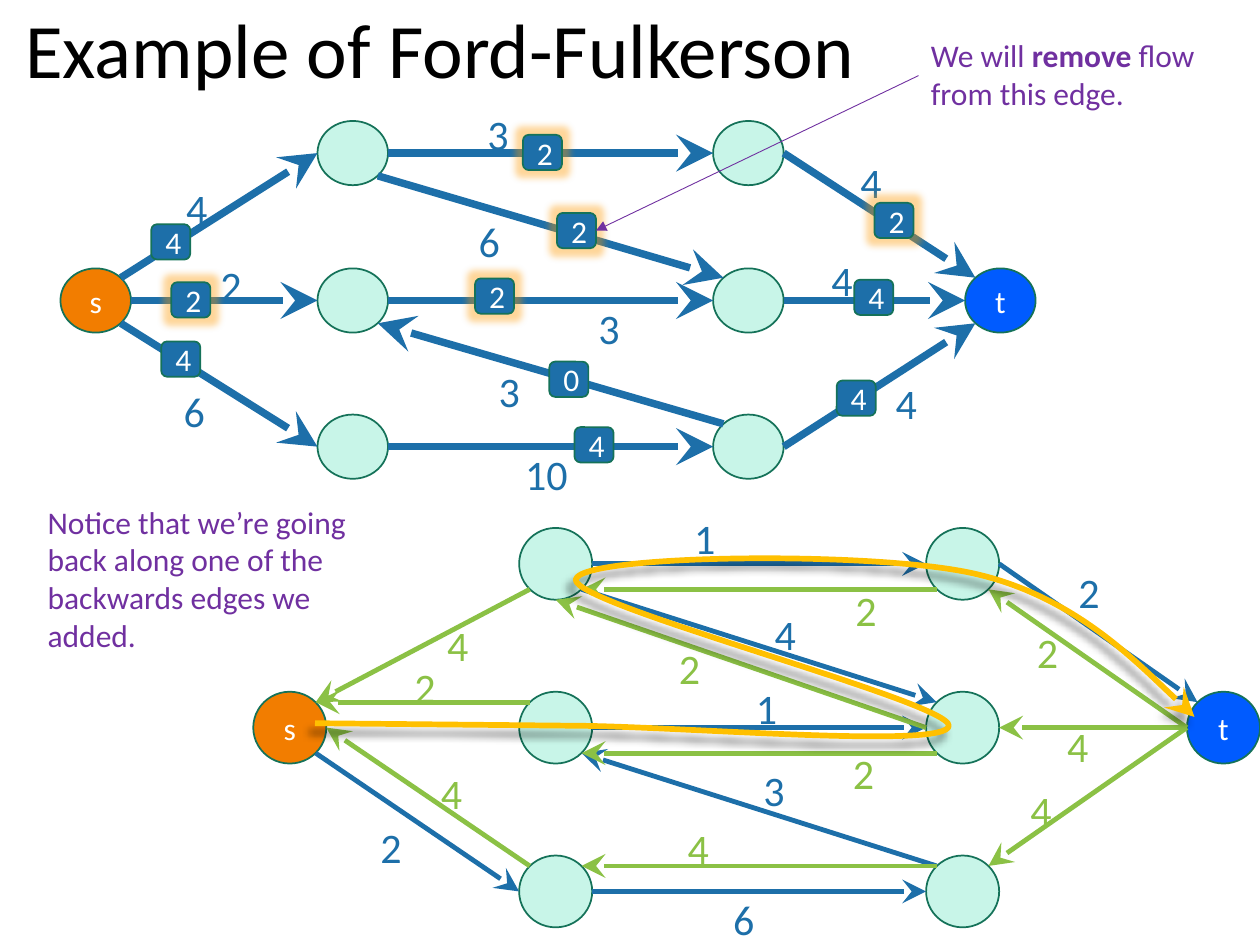
from lxml import etree
from pptx import Presentation
from pptx.dml.color import RGBColor
from pptx.enum import shapes, text
from pptx.oxml.ns import qn
from pptx.util import Inches, Pt

COLORS = {name: RGBColor.from_string(value) for name, value in {
    "black": "000000", "white": "FFFFFF", "blue": "1D6FA9", "green": "8BC145",
    "purple": "7030A0", "gold": "FFC000", "outline": "157259",
    "source": "F27D00", "sink": "005BFF", "node": "C8F5E8"}.items()}
FONT = "Calibri"


def add_arrow(container, start, end, color, width, head="stealth", size="lg"):
    points = [Inches(value) for value in (*start, *end)]
    connector = container.add_connector(shapes.MSO_CONNECTOR.STRAIGHT, *points)
    connector.line.color.rgb = COLORS[color]
    connector.line.width = Pt(width)
    properties = connector.element.spPr
    etree.SubElement(properties.find(qn("a:ln")), qn("a:tailEnd"), type=head, w=size, len=size)
    etree.SubElement(properties, qn("a:effectLst"))


def add_label(container, box, runs, size, color):
    label = container.add_textbox(*[Inches(value) for value in box])
    label.text_frame.word_wrap = True
    label.text_frame.auto_size = text.MSO_AUTO_SIZE.SHAPE_TO_FIT_TEXT
    paragraph = label.text_frame.paragraphs[0]
    paragraph.font.size = Pt(size)
    paragraph.font.name = FONT
    paragraph.font.color.rgb = COLORS[color]
    for words, bold in runs:
        run = paragraph.add_run()
        run.text = words
        if bold:
            run.font.bold = True


presentation = Presentation()
presentation.slide_width, presentation.slide_height = Inches(10), Inches(7.5)
slide = presentation.slides.add_slide(presentation.slide_layouts[5])

# Title
title = slide.shapes.title
title.left, title.top, title.width, title.height = [Inches(v) for v in (0.1, -0.3, 8.62, 1.45)]
title.text_frame.text = "Example of Ford-Fulkerson"
title.text_frame.vertical_anchor = text.MSO_ANCHOR.MIDDLE
paragraph = title.text_frame.paragraphs[0]
paragraph.alignment = text.PP_ALIGN.LEFT
paragraph.line_spacing = 0.9
paragraph.font.size = Pt(44)
paragraph.font.name = FONT
paragraph.font.color.rgb = COLORS["black"]

# Both graphs share a layout: node -> (column, row)
NODES = {"t": (3, 1), "s": (0, 1), "a": (1, 0), "b": (1, 1), "c": (1, 2),
         "d": (2, 0), "e": (2, 1), "f": (2, 2)}
NODE_FILLS = {"s": "source", "t": "sink"}
DIAGONAL = 0.71
SITES = {"L": (-1, 0), "R": (1, 0), "B": (0, 1),
         "TL": (-DIAGONAL, -DIAGONAL), "TR": (DIAGONAL, -DIAGONAL),
         "BL": (-DIAGONAL, DIAGONAL), "BR": (DIAGONAL, DIAGONAL)}
SHARED_EDGES = ["s.BR c.L", "f.TL b.BR", "a.BR e.TL", "a.R d.L", "b.R e.L", "c.R f.L", "d.R t.TL"]

flow_graph = {
    "columns": (0.48, 2.52, 5.66, 7.66), "rows": (0.96, 2.13, 3.29), "node": (0.56, 0.51),
    "edges": SHARED_EDGES + ["s.R b.L", "s.TR a.L", "e.R t.L", "f.R t.BL"],
    "line": 4.25, "label": (0.6, 0.41),
    "capacities": [("4", 1.38, 1.4), ("2", 1.65, 2.01), ("6", 1.36, 3.01), ("3", 3.77, 0.81),
                   ("6", 3.7, 1.66), ("3", 4.65, 2.35), ("3", 3.86, 2.85), ("10", 4.07, 3.51),
                   ("4", 7.01, 2.95), ("4", 6.5, 1.97), ("4", 6.73, 1.19)],
    # flow, left, top, highlighted
    "flows": [("4", 1.28, 2.71, False), ("2", 1.36, 2.24, True), ("4", 1.2, 1.78, False),
              ("2", 4.15, 1.07, True), ("2", 4.42, 1.69, True), ("2", 3.77, 2.21, True),
              ("0", 4.36, 2.87, False), ("4", 4.56, 3.39, False), ("4", 6.64, 3.02, False),
              ("4", 6.78, 2.22, False), ("2", 6.94, 1.61, True)]}
residual_graph = {
    "columns": (2.01, 4.12, 7.35, 9.42), "rows": (4.19, 5.49, 6.79), "node": (0.58, 0.57),
    "edges": SHARED_EDGES, "line": 2.75, "label": (0.62, 0.5),
    "capacities": [("2", 2.92, 6.47), ("1", 5.41, 4.02), ("4", 6.05, 4.78), ("1", 5.9, 5.37),
                   ("6", 5.72, 7.04), ("2", 8.46, 4.45), ("3", 5.96, 6.02)],
    "flows": []}

for graph in (flow_graph, residual_graph):
    group = slide.shapes.add_group_shape().shapes
    width, height = graph["node"]
    ports = {}
    boxes = []  # shape kind, text, fill, left, top, width, height, highlighted
    for name, (column, row) in NODES.items():
        left, top = graph["columns"][column], graph["rows"][row]
        boxes.append((shapes.MSO_SHAPE.OVAL, name if name in NODE_FILLS else "",
                      NODE_FILLS.get(name, "node"), left, top, width, height, False))
        for site, (across, down) in SITES.items():
            ports[f"{name}.{site}"] = (left + width / 2 * (1 + across), top + height / 2 * (1 + down))
    for flow, left, top, highlighted in graph["flows"]:
        boxes.append((shapes.MSO_SHAPE.ROUNDED_RECTANGLE, flow, "blue", left, top, 0.31, 0.28, highlighted))

    # Edges and capacities come after the nodes, flow badges on top
    for index, (kind, words, fill, left, top, box_width, box_height, highlighted) in enumerate(boxes):
        if index == len(NODES):
            for edge in graph["edges"]:
                start, end = edge.split()
                add_arrow(group, ports[start], ports[end], "blue", graph["line"])
            for capacity, label_left, label_top in graph["capacities"]:
                add_label(group, (label_left, label_top, *graph["label"]), [(capacity, False)], 24, "blue")
        shape = group.add_shape(kind, Inches(left), Inches(top), Inches(box_width), Inches(box_height))
        shape.shadow.inherit = False
        shape.fill.solid()
        shape.fill.fore_color.rgb = COLORS[fill]
        shape.line.color.rgb = COLORS["outline"]
        shape.line.width = Pt(1)
        if highlighted:
            effects = shape.element.spPr.find(qn("a:effectLst"))
            glow = etree.SubElement(effects, qn("a:glow"), rad=str(Pt(8)))
            tint = etree.SubElement(glow, qn("a:srgbClr"), val="FF9900")
            etree.SubElement(tint, qn("a:alpha"), val="40000")
        if words:
            shape.text_frame.text = words
            shape.text_frame.vertical_anchor = text.MSO_ANCHOR.MIDDLE
            paragraph = shape.text_frame.paragraphs[0]
            paragraph.alignment = text.PP_ALIGN.CENTER
            paragraph.font.size = Pt(18)
            paragraph.font.name = FONT
            paragraph.font.color.rgb = COLORS["white"]
    if not graph["flows"]:
        for edge in graph["edges"]:
            start, end = edge.split()
            add_arrow(group, ports[start], ports[end], "blue", graph["line"])
        for capacity, left, top in graph["capacities"]:
            add_label(group, (left, top, *graph["label"]), [(capacity, False)], 24, "blue")

# Backward edges of the residual graph
for edge in ("t.L f.TR", "t.L d.BR", "d.BL a.BR", "a.BL s.TR", "c.TL s.R", "f.TL c.TR",
             "e.BL b.BR", "e.L a.B", "b.TL s.TR", "t.L e.R"):
    start, end = edge.split()
    add_arrow(slide.shapes, ports[start], ports[end], "green", 2.75)
for capacity, left, top in (("2", 6.67, 5.88), ("4", 8.37, 5.67), ("2", 8.13, 4.92), ("4", 8.08, 6.18),
                            ("4", 5.36, 6.48), ("4", 3.4, 6.04), ("2", 5.29, 5.05), ("2", 6.69, 4.59),
                            ("4", 3.45, 4.87), ("2", 3.19, 5.2)):
    add_label(slide.shapes, (left, top, 0.62, 0.5), [(capacity, False)], 24, "green")

# Augmenting path: a straight start, then Bezier curves
path_left, path_top, path_width, path_height = 2.5, 4.43, 6.98, 1.41
CURVES = [[(5.36, 5.76), (7.53, 5.95), (7.53, 5.76)], [(7.54, 5.57), (4.54, 4.8), (4.57, 4.6)],
          [(4.6, 4.4), (6.91, 4.37), (7.72, 4.55)], [(8.54, 4.73), (9.48, 5.69), (9.48, 5.69)]]
builder = slide.shapes.build_freeform(Inches(path_left), Inches(5.74))
builder.add_line_segments([(Inches(4.52), Inches(5.76))], close=False)
augmenting = builder.convert_to_shape()
augmenting.left, augmenting.top = Inches(path_left), Inches(path_top)
augmenting.width, augmenting.height = Inches(path_width), Inches(path_height)
outline = augmenting.element.spPr.find(".//" + qn("a:path"))
outline.set("w", str(Inches(path_width)))
outline.set("h", str(Inches(path_height)))
for point in outline.iter(qn("a:pt")):
    point.set("y", str(int(point.get("y")) + Inches(5.74 - path_top)))
for curve in CURVES:
    segment = etree.SubElement(outline, qn("a:cubicBezTo"))
    for x, y in curve:
        etree.SubElement(segment, qn("a:pt"), x=str(Inches(x - path_left)), y=str(Inches(y - path_top)))
augmenting.fill.background()
augmenting.line.color.rgb = COLORS["gold"]
augmenting.line.width = Pt(3.25)
augmenting.shadow.inherit = False
properties = augmenting.element.spPr
etree.SubElement(properties.find(qn("a:ln")), qn("a:tailEnd"), type="stealth", w="lg", len="lg")
shadow = etree.SubElement(properties.find(qn("a:effectLst")), qn("a:outerShdw"),
                          blurRad=str(Pt(4)), dist=str(Pt(6)), dir=str(135 * 60000))
tint = etree.SubElement(shadow, qn("a:srgbClr"), val="000000")
etree.SubElement(tint, qn("a:alpha"), val="40000")

# Notes
add_label(slide.shapes, (0.28, 3.94, 2.57, 1.31),
          [("Notice that we’re going back along one of the backwards edges we added.", False)], 18, "purple")
add_label(slide.shapes, (7.29, 0.24, 2.57, 0.71),
          [("We will ", False), ("remove", True), (" flow from this edge.", False)], 18, "purple")
add_arrow(slide.shapes, (7.29, 0.6), (4.73, 1.83), "purple", 0.5, "triangle", "med")

presentation.save("out.pptx")
